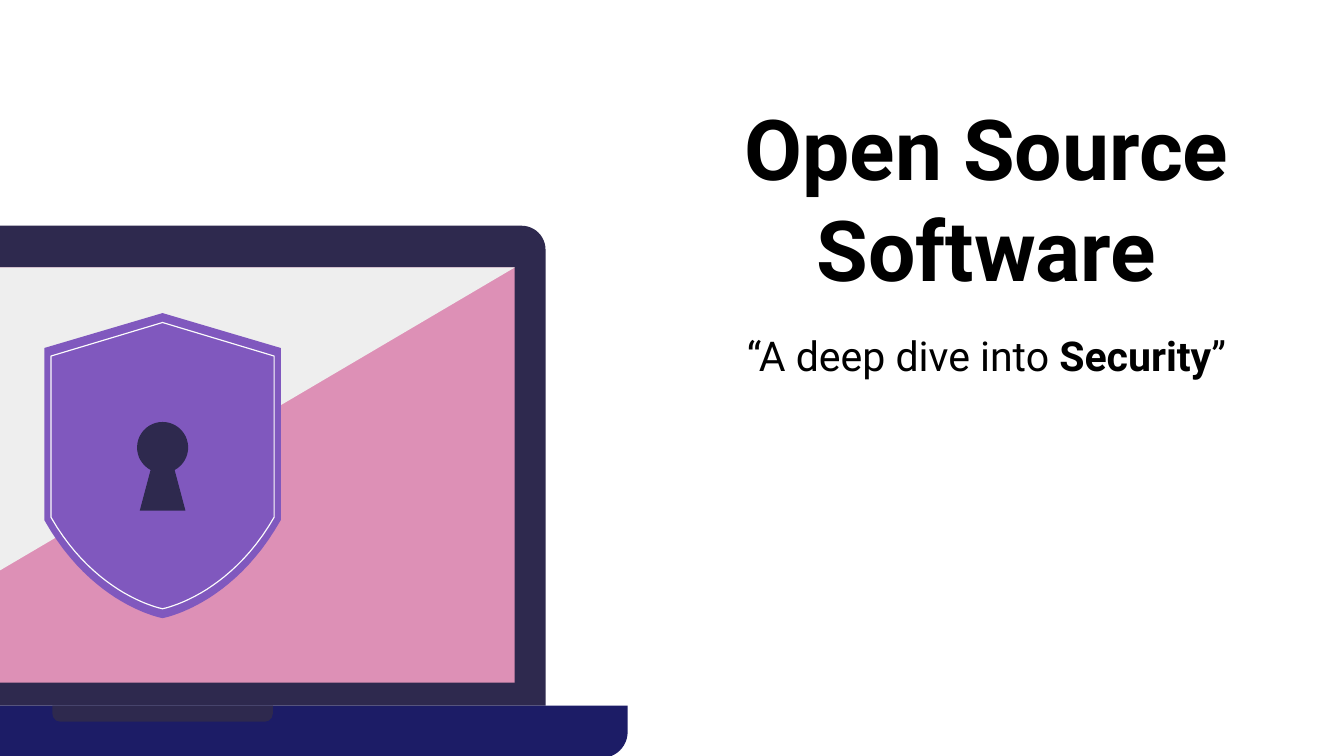
"""Build the opening slide about open source software security."""
from math import cos, radians, sin

from pptx import Presentation
from pptx.dml.color import RGBColor
from pptx.enum.shapes import MSO_SHAPE
from pptx.enum.text import MSO_ANCHOR, MSO_AUTO_SIZE, PP_ALIGN
from pptx.util import Inches, Pt

RECTANGLE = MSO_SHAPE.RECTANGLE
ROUND_PAIR = MSO_SHAPE.ROUND_2_SAME_RECTANGLE
BOTTOM, TOP = MSO_ANCHOR.BOTTOM, MSO_ANCHOR.TOP
CENTER = PP_ALIGN.CENTER
NO_AUTOFIT = MSO_AUTO_SIZE.NONE

NAVY, PURPLE = "2E294E", "8058BE"
SHIELD_CENTER = 1.21


def rgb(hex_color):
    return RGBColor.from_string(hex_color)


def outline(points):
    corners = [(Inches(x), Inches(y)) for x, y in points]
    builder = slide.shapes.build_freeform(*corners[0], scale=1.0)
    builder.add_line_segments(corners[1:], close=True)
    polygon = builder.convert_to_shape()
    polygon.shadow.inherit = False
    return polygon


prs = Presentation()
prs.slide_width = Inches(10)
prs.slide_height = Inches(10) * 9 // 16
slide = prs.slides.add_slide(prs.slide_layouts[5])

title = slide.shapes.title
title.left, title.top = Inches(5.39), Inches(0.36)
title.width, title.height = Inches(3.9), Inches(1.96)
subtitle = slide.shapes.add_textbox(Inches(5.39), Inches(2.36), Inches(3.9), Inches(0.87))

for box, anchor, size, parts in [
    (title, BOTTOM, 45, [("Open Source Software", True)]),
    (subtitle, TOP, 22, [("“A deep dive into ", False), ("Security", True), ("”", False)]),
]:
    frame = box.text_frame
    frame.word_wrap = True
    frame.auto_size = NO_AUTOFIT
    frame.vertical_anchor = anchor
    frame.margin_left = frame.margin_right = Inches(0.1)
    frame.margin_top = frame.margin_bottom = Inches(0.1)
    paragraph = frame.paragraphs[0]
    paragraph.alignment = CENTER
    for text, bold in parts:
        run = paragraph.add_run()
        run.text = text
        run.font.name = "Roboto"
        run.font.size = Pt(size)
        run.font.bold = bold
        run.font.color.rgb = rgb("000000")

for kind, left, top, width, height, color, rounding in [
    (ROUND_PAIR, -1.64, 1.68, 5.7, 3.57, NAVY, (0.05, 0)),
    (RECTANGLE, -1.42, 1.99, 5.25, 3.09, "DD90B6", ()),
    (ROUND_PAIR, -2.25, 5.25, 6.92, 0.39, "1C1C66", (0, 0.5)),
    (ROUND_PAIR, 0.39, 5.25, 1.64, 0.12, NAVY, (0, 0.5)),
]:
    laptop_part = slide.shapes.add_shape(kind, Inches(left), Inches(top), Inches(width), Inches(height))
    laptop_part.shadow.inherit = False
    laptop_part.fill.solid()
    laptop_part.fill.fore_color.rgb = rgb(color)
    laptop_part.line.fill.background()
    for index, amount in enumerate(rounding):
        laptop_part.adjustments[index] = amount

screen_glare = outline([(-1.42, 1.99), (-1.42, 5.08), (3.83, 1.99)])

shields = []
for half_width, peak, shoulder, waist, bend_x, bend_y, tip in [
    (0.88, 2.33, 2.59, 3.87, 0.52, 4.51, 4.6),
    (0.83, 2.4, 2.65, 3.85, 0.49, 4.44, 4.53),
]:
    right_side = [(half_width, shoulder)]
    for step in range(25):
        t = step / 24
        start, bend = (1 - t) ** 3, 3 * t * (1 - t) ** 2
        end = 1 - start - bend
        right_side.append((start * half_width + bend * bend_x,
                           start * waist + bend * bend_y + end * tip))
    left_side = [(-x, y) for x, y in reversed(right_side[:-1])]
    shields.append(outline([(SHIELD_CENTER + x, y) for x, y in [(0, peak)] + right_side + left_side]))
shield, shield_trim = shields

arc = [(SHIELD_CENTER + 0.19 * cos(radians(angle)), 3.33 + 0.19 * sin(radians(angle)))
       for angle in range(118, 423, 8)]
keyhole = outline(arc + [(1.3, 3.5), (1.38, 3.8), (1.04, 3.8), (1.12, 3.5)])

for polygon, color in [(screen_glare, "EEEEEE"), (shield, PURPLE), (keyhole, NAVY)]:
    polygon.fill.solid()
    polygon.fill.fore_color.rgb = rgb(color)
    polygon.line.fill.background()

shield_trim.fill.background()
shield_trim.line.color.rgb = rgb("FCFCFC")
shield_trim.line.width = Pt(0.61)

prs.save("out.pptx")
